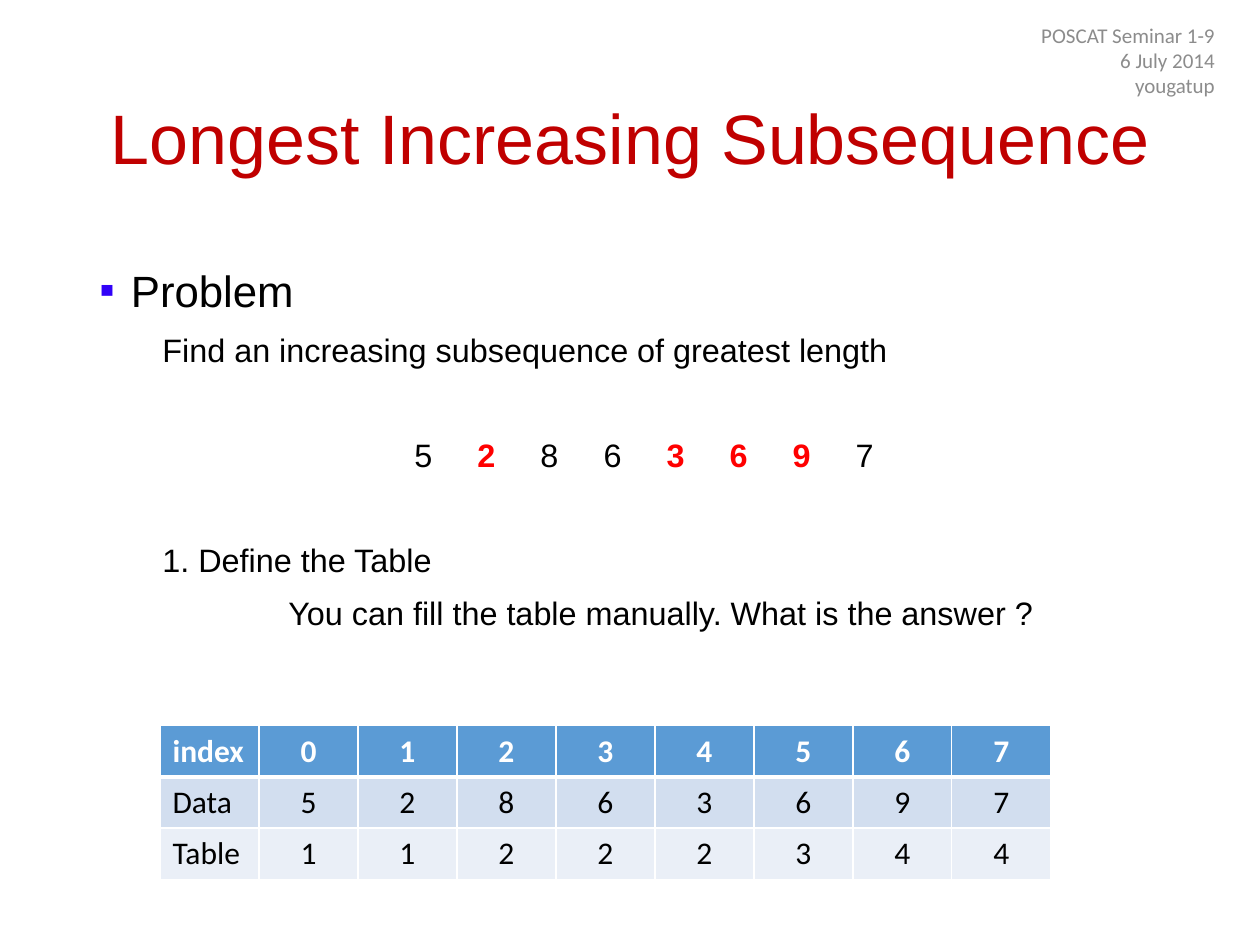
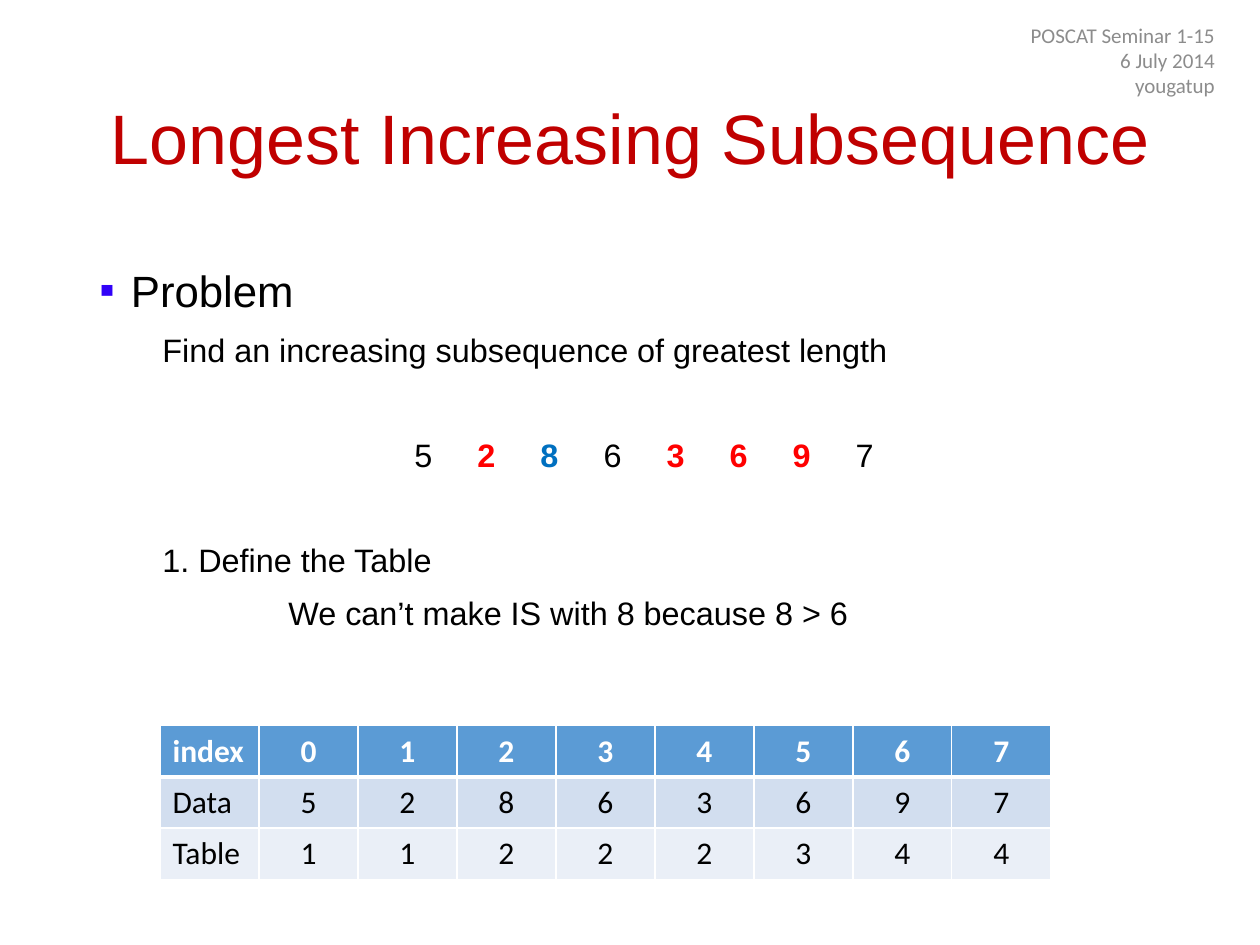
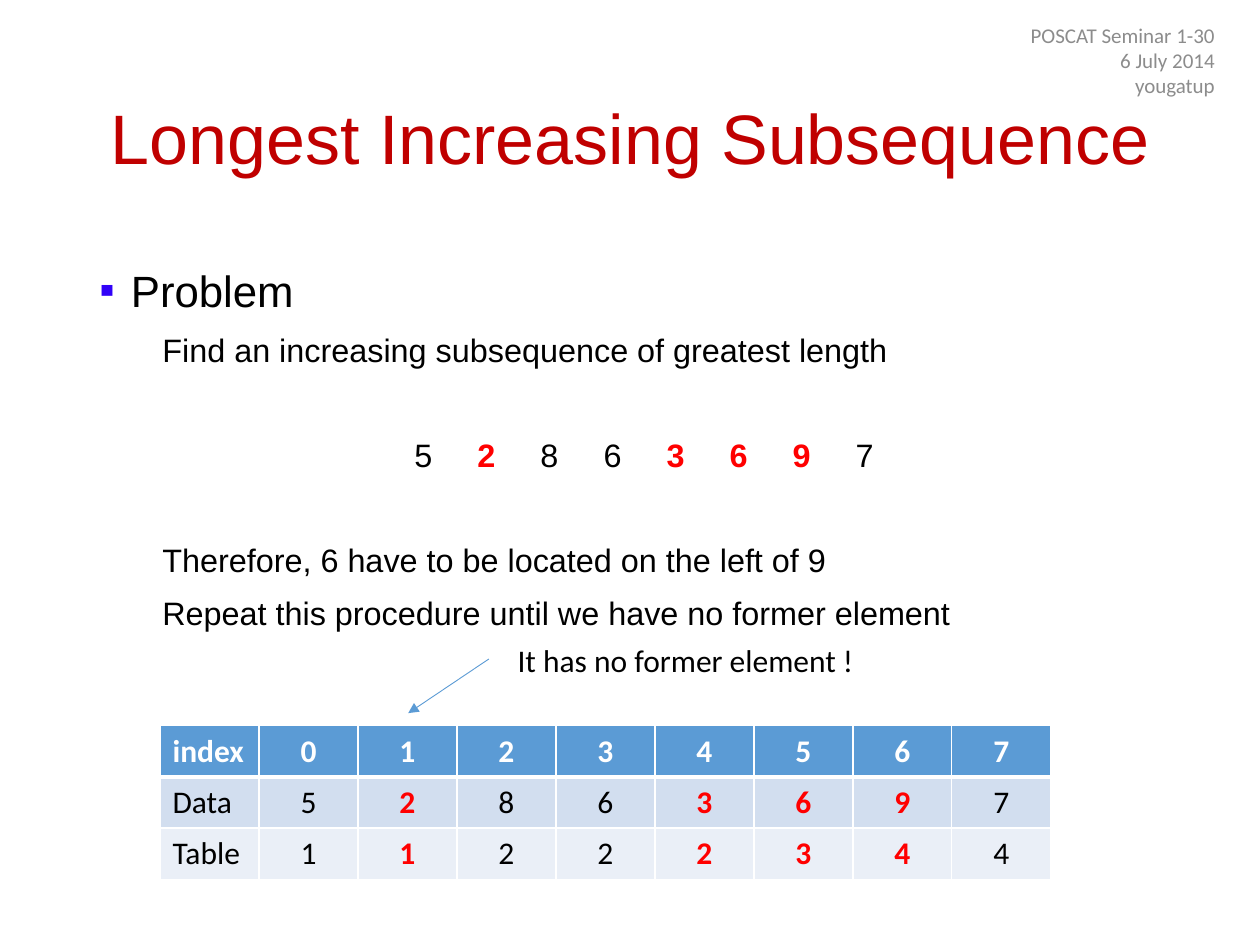
from lxml import etree
from pptx import Presentation
from pptx.dml.color import RGBColor
from pptx.enum.shapes import MSO_CONNECTOR
from pptx.enum.text import MSO_ANCHOR, PP_ALIGN
from pptx.oxml.ns import qn
from pptx.util import Pt

EMU_PER_PX = 9144
STRAIGHT = MSO_CONNECTOR.STRAIGHT
MIDDLE = MSO_ANCHOR.MIDDLE
LEFT, CENTER, RIGHT = PP_ALIGN.LEFT, PP_ALIGN.CENTER, PP_ALIGN.RIGHT
BLACK, WHITE, RED, BLUE = "000000", "FFFFFF", "FF0000", "0070C0"
TITLE_RED, GREY, BULLET, ACCENT = "C00000", "8C8C8C", "3102F8", "5B9BD5"
ROW_FILLS = [ACCENT, "D2DEEF", "EAEFF7"]

TABLE_ROWS = [
    ["index", *"01234567"],
    ["Data", *"52863697"],
    ["Table", *"11222344"],
]
CHOSEN = [1, 4, 5, 6]
SLIDES = [
    {"page": 9, "body_width": 862, "blue": [], "table_red": [], "callout": "",
     "lines": [("1. Define the Table", 50),
               ("You can fill the table manually. What is the answer ?", 150)]},
    {"page": 15, "body_width": 895, "blue": [2], "table_red": [], "callout": "",
     "lines": [("1. Define the Table", 50),
               ("We can’t make IS with 8 because 8 > 6", 150)]},
    {"page": 30, "body_width": 895, "blue": [], "table_red": CHOSEN,
     "callout": "It has no former element !",
     "lines": [("Therefore, 6 have to be located on the left of 9", 50),
               ("Repeat this procedure until we have no former element", 50)]},
]


def px(*lengths):
    return [length * EMU_PER_PX for length in lengths]


def style(run, size, color, font="Arial", bold=False):
    run.font.size = Pt(size)
    run.font.name = font
    run.font.bold = bold
    run.font.color.rgb = RGBColor.from_string(color)


prs = Presentation()
prs.slide_width, prs.slide_height = px(1000, 750)

for content in SLIDES:
    slide = prs.slides.add_slide(prs.slide_layouts[5])

    title = slide.shapes.title
    title.left, title.top, title.width, title.height = px(69, 40, 862, 145)
    title.text_frame.text = "Longest Increasing Subsequence"
    title.text_frame.vertical_anchor = MIDDLE
    heading = title.text_frame.paragraphs[0]
    heading.alignment = CENTER
    heading.line_spacing = 0.9
    style(heading.runs[0], 40, TITLE_RED)

    body = slide.shapes.add_textbox(*px(69, 200, content["body_width"], 476)).text_frame
    body.word_wrap = True
    (first_line, first_indent), (second_line, second_indent) = content["lines"]
    body_lines = [
        ("Problem", 25, 25, 5),
        ("Find an increasing subsequence of greatest length", 50, 18.5, 6),
        ("", 250, 18.5, 35.4),
        (first_line, first_indent, 18.5, 35.4),
        (second_line, second_indent, 18.5, 6),
    ]
    for number, (text, indent, size, space) in enumerate(body_lines):
        paragraph = body.paragraphs[0] if number == 0 else body.add_paragraph()
        paragraph.text = text
        paragraph.line_spacing = 1.1
        paragraph.space_before = Pt(space)
        properties = paragraph._p.get_or_add_pPr()
        properties.set("marL", str(px(indent)[0]))
        properties.set("indent", "0")
        for run in paragraph.runs:
            style(run, size, BLACK)

    problem, sequence = body.paragraphs[0], body.paragraphs[2]
    properties = problem._p.get_or_add_pPr()
    properties.set("indent", str(px(-25)[0]))
    bullet_color = etree.SubElement(properties, qn("a:buClr"))
    etree.SubElement(bullet_color, qn("a:srgbClr"), val=BULLET)
    etree.SubElement(properties, qn("a:buFont"), typeface="Arial")
    etree.SubElement(properties, qn("a:buChar"), char="▪")

    for index, value in enumerate(TABLE_ROWS[1][1:]):
        if index:
            gap = sequence.add_run()
            gap.text = " "
            style(gap, 18.5, BLACK)
            gap.font._element.set("spc", "2060")
        digit = sequence.add_run()
        digit.text = value
        color = BLUE if index in content["blue"] else RED if index in CHOSEN else BLACK
        style(digit, 18.5, color, bold=color != BLACK)

    seminar = slide.shapes.add_textbox(*px(749, 20, 225, 55)).text_frame
    seminar.word_wrap = True
    seminar.vertical_anchor = MIDDLE
    seminar.text = f"POSCAT Seminar 1-{content['page']}\n6 July 2014\nyougatup"
    for paragraph in seminar.paragraphs:
        paragraph.alignment = RIGHT
        style(paragraph.runs[0], 12, GREY, "Calibri")

    table = slide.shapes.add_table(3, 9, *px(127, 576, 707, 122)).table
    for row, values in enumerate(TABLE_ROWS):
        for column, value in enumerate(values):
            cell = table.cell(row, column)
            cell.text = value
            highlighted = row > 0 and column - 1 in content["table_red"]
            color = WHITE if row == 0 else RED if highlighted else BLACK
            paragraph = cell.text_frame.paragraphs[0]
            paragraph.alignment = CENTER if column else LEFT
            style(paragraph.runs[0], 18, color, "Calibri", row == 0 or highlighted)
            for side in "LRTB":
                thick = (row, side) in [(0, "B"), (1, "T")]
                border = etree.SubElement(cell._tc.get_or_add_tcPr(), qn(f"a:ln{side}"),
                                          w=str(Pt(3 if thick else 1)))
                border_fill = etree.SubElement(border, qn("a:solidFill"))
                etree.SubElement(border_fill, qn("a:srgbClr"), val=WHITE)
            cell.fill.solid()
            cell.fill.fore_color.rgb = RGBColor.from_string(ROW_FILLS[row])

    if content["callout"]:
        arrow = slide.shapes.add_connector(STRAIGHT, *px(388, 523, 324, 566))
        arrow.line.color.rgb = RGBColor.from_string(ACCENT)
        arrow.line.width = Pt(0.5)
        etree.SubElement(arrow.line._get_or_add_ln(), qn("a:tailEnd"), type="triangle")
        etree.SubElement(arrow._element.spPr, qn("a:effectLst"))
        callout = slide.shapes.add_textbox(*px(401, 504, 296, 40)).text_frame
        callout.text = content["callout"]
        style(callout.paragraphs[0].runs[0], 18, BLACK, "Calibri")

prs.save("out.pptx")
